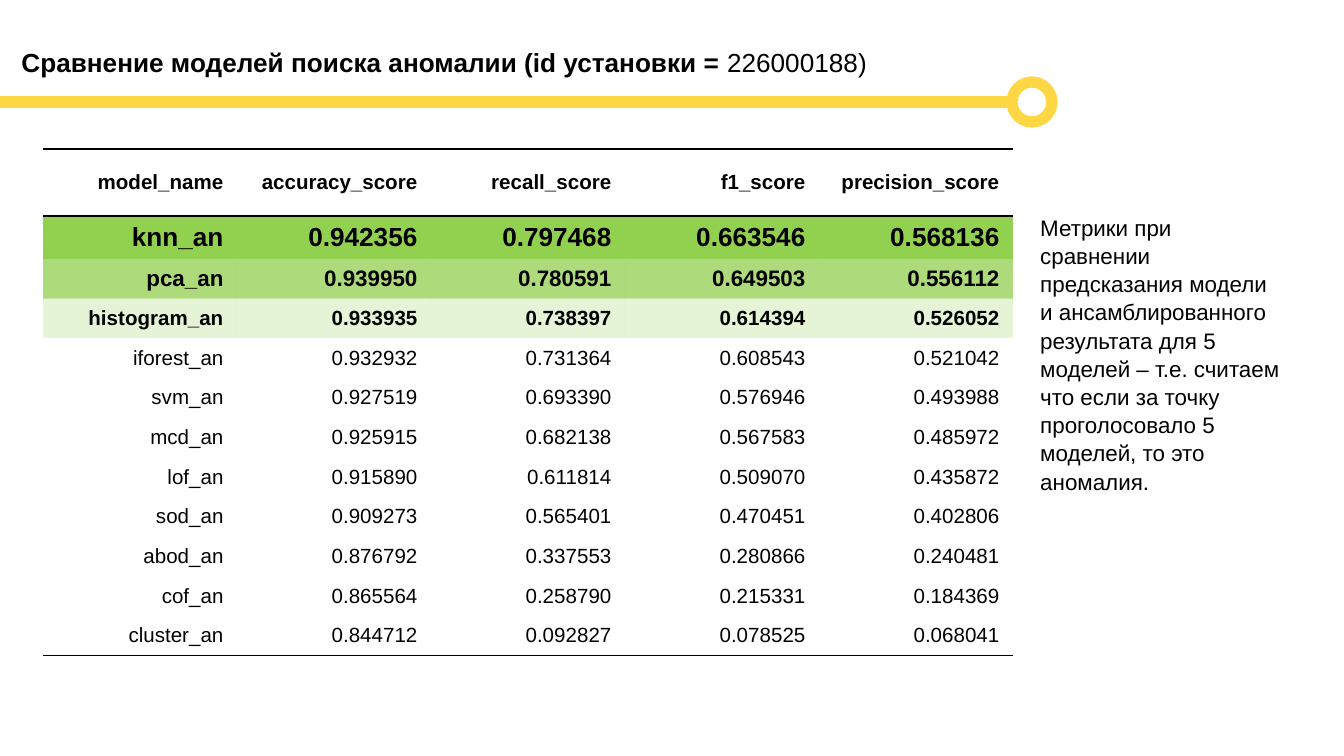
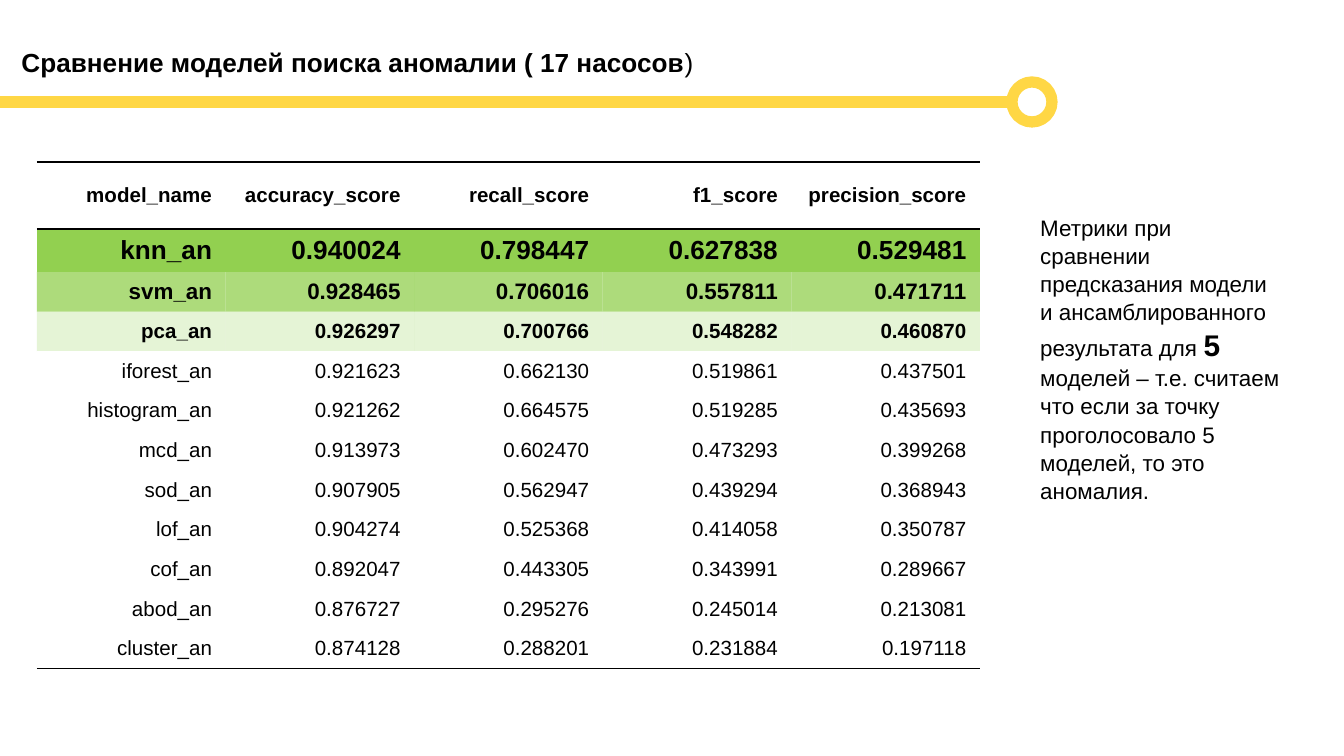
from lxml.etree import SubElement
from pptx import Presentation
from pptx.dml.color import RGBColor
from pptx.enum.shapes import MSO_CONNECTOR, MSO_SHAPE
from pptx.enum.text import MSO_ANCHOR, MSO_AUTO_SIZE, PP_ALIGN
from pptx.oxml import parse_xml
from pptx.oxml.ns import nsdecls, qn
from pptx.util import Emu, Pt

SLIDE_WIDTH, SLIDE_HEIGHT = 1344, 756
EMU_PER_PX = 9144000 / SLIDE_WIDTH
FONT = "Arial"
BLACK, WHITE, YELLOW, GREEN = "000000", "FFFFFF", "FFD745", "92D050"
LINE_SPACING = 1.05
TITLE_LAYOUT = 5
PLAIN_TABLE_STYLE = "{2D5ABB26-0587-4C30-8999-92F81FD0307C}"
HEADER_HEIGHT, BODY_HEIGHT = 67, 437

COLUMNS = ["model_name", "accuracy_score", "recall_score", "f1_score", "precision_score"]
PODIUM = [(14, 100), (12, 75), (11, 23)]

UNIT_SCORES = [
    ("knn_an", "0.942356", "0.797468", "0.663546", "0.568136"),
    ("pca_an", "0.939950", "0.780591", "0.649503", "0.556112"),
    ("histogram_an", "0.933935", "0.738397", "0.614394", "0.526052"),
    ("iforest_an", "0.932932", "0.731364", "0.608543", "0.521042"),
    ("svm_an", "0.927519", "0.693390", "0.576946", "0.493988"),
    ("mcd_an", "0.925915", "0.682138", "0.567583", "0.485972"),
    ("lof_an", "0.915890", "0.611814", "0.509070", "0.435872"),
    ("sod_an", "0.909273", "0.565401", "0.470451", "0.402806"),
    ("abod_an", "0.876792", "0.337553", "0.280866", "0.240481"),
    ("cof_an", "0.865564", "0.258790", "0.215331", "0.184369"),
    ("cluster_an", "0.844712", "0.092827", "0.078525", "0.068041"),
]
PUMP_SCORES = [
    ("knn_an", "0.940024", "0.798447", "0.627838", "0.529481"),
    ("svm_an", "0.928465", "0.706016", "0.557811", "0.471711"),
    ("pca_an", "0.926297", "0.700766", "0.548282", "0.460870"),
    ("iforest_an", "0.921623", "0.662130", "0.519861", "0.437501"),
    ("histogram_an", "0.921262", "0.664575", "0.519285", "0.435693"),
    ("mcd_an", "0.913973", "0.602470", "0.473293", "0.399268"),
    ("sod_an", "0.907905", "0.562947", "0.439294", "0.368943"),
    ("lof_an", "0.904274", "0.525368", "0.414058", "0.350787"),
    ("cof_an", "0.892047", "0.443305", "0.343991", "0.289667"),
    ("abod_an", "0.876727", "0.295276", "0.245014", "0.213081"),
    ("cluster_an", "0.874128", "0.288201", "0.231884", "0.197118"),
]
NOTE_START = "Метрики при сравнении предсказания модели и ансамблированного результата для "
NOTE_END = (" моделей – т.е. считаем что если за точку проголосовало 5 моделей, "
            "то это аномалия.")


def px(length):
    """Turn a length in px into EMU."""
    return Emu(round(length * EMU_PER_PX))


def color(value):
    """Turn a hex string into a colour."""
    return RGBColor.from_string(value)


def set_font(font, size, bold=False):
    """Give a font the typeface, colour, size and weight of the deck."""
    font.name = FONT
    font.size = Pt(size)
    font.bold = bold
    font.color.rgb = color(BLACK)


def add_title(slide, bold_text, plain_text):
    """Fill the title placeholder with a bold part and a plain part."""
    title = slide.shapes.title
    title.left, title.top, title.width, title.height = map(px, (8, 38, 1126, 54))
    title.text_frame.vertical_anchor = MSO_ANCHOR.TOP
    paragraph = title.text_frame.paragraphs[0]
    paragraph.alignment = PP_ALIGN.LEFT
    paragraph.line_spacing = LINE_SPACING
    for text, bold in ((bold_text, True), (plain_text, False)):
        run = paragraph.add_run()
        run.text = text
        set_font(run.font, 14, bold)


def style_outline(shape):
    """Draw a shape or connector with the thick yellow line."""
    shape.line.color.rgb = color(YELLOW)
    shape.line.width = Pt(6)


def add_title_rule(slide):
    """Draw the yellow rule under the title, ending in a ring."""
    rule = slide.shapes.add_connector(
        MSO_CONNECTOR.STRAIGHT, px(-4), px(102), px(1012), px(102))
    SubElement(rule.element.spPr, qn("a:effectLst"))
    style_outline(rule)
    ring = slide.shapes.add_shape(MSO_SHAPE.OVAL, px(1012), px(82), px(40), px(40))
    ring.shadow.inherit = False
    ring.fill.background()
    style_outline(ring)


def fill_cell(cell, fill, opacity=100):
    """Fill a cell with a colour of the given opacity in percent."""
    cell.fill.solid()
    cell.fill.fore_color.rgb = color(fill)
    if opacity < 100:
        swatch = next(cell.fill._xPr.iter(qn("a:srgbClr")))
        SubElement(swatch, qn("a:alpha"), val=str(opacity * 1000))


def add_borders(cell, *sides):
    """Draw black 1 pt borders, sides given in schema order."""
    properties = cell._tc.get_or_add_tcPr()
    for index, side in enumerate(sides):
        properties.insert(index, parse_xml(
            f'<a:ln{side} {nsdecls("a")} w="12700"><a:solidFill>'
            f'<a:srgbClr val="{BLACK}"/></a:solidFill></a:ln{side}>'))


def write_cell(cell, text, size, bold):
    """Write right-aligned, vertically centred text into a cell."""
    cell.vertical_anchor = MSO_ANCHOR.MIDDLE
    paragraph = cell.text_frame.paragraphs[0]
    paragraph.text = text
    paragraph.alignment = PP_ALIGN.RIGHT
    set_font(paragraph.font, size, bold)


def add_score_table(slide, left, top, width, scores):
    """Add the score table with its three best models in green."""
    frame = slide.shapes.add_table(
        len(scores) + 1, len(COLUMNS), px(left), px(top), px(width),
        px(HEADER_HEIGHT + BODY_HEIGHT))
    next(frame.element.iter(qn("a:tableStyleId"))).text = PLAIN_TABLE_STYLE
    table = frame.table
    table.horz_banding = False
    for column in table.columns:
        column.width = px(width / len(COLUMNS))
    for row in table.rows:
        row.height = px(BODY_HEIGHT / len(scores))
    table.rows[0].height = px(HEADER_HEIGHT)

    for cell, name in zip(table.rows[0].cells, COLUMNS):
        write_cell(cell, name, 11, True)
        cell.fill.background()
        add_borders(cell, "T", "B")
    for rank, values in enumerate(scores):
        best = rank < len(PODIUM)
        size, opacity = PODIUM[rank] if best else (11, 100)
        for cell, value in zip(table.rows[rank + 1].cells, values):
            write_cell(cell, value, size, best)
            fill_cell(cell, GREEN if best else WHITE, opacity)
            if rank == len(scores) - 1:
                add_borders(cell, "B")


def add_note(slide, height, emphasized):
    """Add the note on the metrics, with its first number large if emphasized."""
    box = slide.shapes.add_textbox(px(1027), px(206), px(270), px(height))
    box.text_frame.word_wrap = True
    box.text_frame.auto_size = MSO_AUTO_SIZE.SHAPE_TO_FIT_TEXT
    paragraph = box.text_frame.paragraphs[0]
    paragraph.line_spacing = LINE_SPACING
    set_font(paragraph.font, 12)
    if not emphasized:
        paragraph.text = NOTE_START + "5" + NOTE_END
        return
    for text, size, bold in ((NOTE_START, 12, False), ("5", 16, True), (NOTE_END, 12, False)):
        run = paragraph.add_run()
        run.text = text
        set_font(run.font, size, bold)


def add_comparison(presentation, title, table_place, scores, note_height, emphasized):
    """Add a slide that compares the models by their scores."""
    slide = presentation.slides.add_slide(presentation.slide_layouts[TITLE_LAYOUT])
    add_title(slide, *title)
    add_title_rule(slide)
    add_score_table(slide, *table_place, scores)
    add_note(slide, note_height, emphasized)


def main():
    """Build and save the presentation."""
    presentation = Presentation()
    presentation.slide_width = px(SLIDE_WIDTH)
    presentation.slide_height = px(SLIDE_HEIGHT)
    add_comparison(
        presentation,
        ("Сравнение моделей поиска аномалии (id установки = ", "226000188)"),
        (43, 149, 970), UNIT_SCORES, 285, False)
    add_comparison(
        presentation,
        ("Сравнение моделей поиска аномалии ( 17 насосов", ")"),
        (37, 162, 943), PUMP_SCORES, 294, True)
    presentation.save("out.pptx")


if __name__ == "__main__":
    main()
